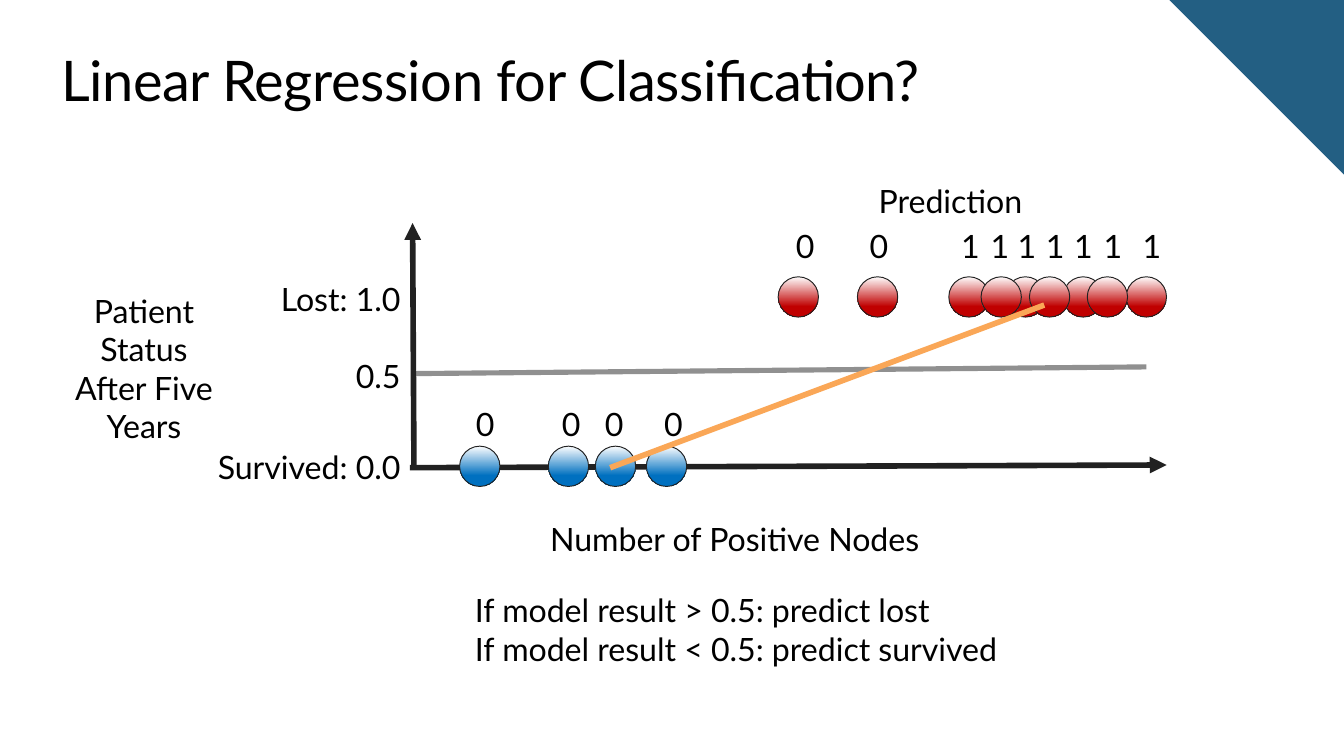
from lxml import etree
from pptx import Presentation
from pptx.dml.color import RGBColor
from pptx.enum.shapes import MSO_CONNECTOR, MSO_SHAPE
from pptx.enum.text import MSO_ANCHOR, MSO_AUTO_SIZE, PP_ALIGN
from pptx.oxml.ns import qn
from pptx.util import Inches, Pt

LEFT, MID, RIGHT = PP_ALIGN.LEFT, PP_ALIGN.CENTER, PP_ALIGN.RIGHT
TOP, CENTER = MSO_ANCHOR.TOP, MSO_ANCHOR.MIDDLE
FIXED = MSO_AUTO_SIZE.NONE
OVAL, CORNER = MSO_SHAPE.OVAL, MSO_SHAPE.RIGHT_TRIANGLE
STRAIGHT = MSO_CONNECTOR.STRAIGHT
FONT = "Lato"
COLORS = {
    "white": "FFFFFF", "text": "000000", "corner": "235F83",
    "axis": "212121", "limit": "909090", "fit": "FAA757",
    "blue": "0070C0", "red": "C00000",
}
LOW_DOTS = [0.37, 1.03, 1.38, 1.76]
HIGH_DOTS = [2.74, 3.33, 4.01, 4.43, 4.86, 5.33, 4.61, 4.25, 5.04]
LOW_MARKS = [(0.4, "0"), (1.04, "0"), (1.36, "0"), (1.8, "0")]
HIGH_MARKS = [
    (2.78, "0"), (3.33, "0"), (4.01, "1"), (4.23, "1"), (4.43, "1"),
    (4.64, "1"), (4.85, "1"), (5.07, "1"), (5.36, "1"),
]
TICKS = [(0.73, "Lost: 1.0"), (1.3, "0.5"), (1.98, "Survived: 0.0")]


def color(name):
    """Return the named colour."""
    return RGBColor.from_string(COLORS[name])


def style(shape, text, align, size=17.2, anchor=CENTER):
    """Set and format the text of a shape."""
    frame = shape.text_frame
    frame.text = text
    frame.word_wrap = True
    frame.auto_size = FIXED
    frame.vertical_anchor = anchor
    frame.margin_left = frame.margin_right = 0
    frame.margin_top = frame.margin_bottom = 0
    for para in frame.paragraphs:
        para.alignment = align
        para._p.get_or_add_pPr().set("marL", str(Pt(1)))
        for run in para.runs:
            run.font.name = FONT
            run.font.size = Pt(size)
            run.font.color.rgb = color("text")


def label(slide, text, x, y, w, h=0.29, align=LEFT):
    """Add a text box."""
    box = slide.shapes.add_textbox(Inches(x), Inches(y), Inches(w), Inches(h))
    style(box, text, align)


def line(slide, start, end, name, width=3, arrow=False):
    """Add a straight line, with an arrowhead if asked."""
    link = slide.shapes.add_connector(
        STRAIGHT, *[Inches(n) for n in (*start, *end)])
    link.line.color.rgb = color(name)
    link.line.width = Pt(width)
    if arrow:
        stroke = link.line._get_or_add_ln()
        etree.SubElement(stroke, qn("a:tailEnd"), type="triangle")
    etree.SubElement(link._element.spPr, qn("a:effectLst"))


def dot(slide, x, y, name, stop):
    """Add a data point that fades from white to its colour."""
    ball = slide.shapes.add_shape(
        OVAL, Inches(x), Inches(y), Inches(0.3), Inches(0.3))
    ball.shadow.inherit = False
    ball.fill.gradient()
    ball.fill.gradient_angle = 270
    first, last = ball.fill.gradient_stops
    first.color.rgb, first.position = color("white"), 0
    last.color.rgb, last.position = color(name), stop
    ball.line.color.rgb = color("axis")
    ball.line.width = Pt(0.5)


def corner(slide, x, y, side):
    """Add the triangle in the top right corner."""
    shape = slide.shapes.add_shape(
        CORNER, Inches(x), Inches(y), Inches(side), Inches(side))
    shape.rotation = 180
    shape.shadow.inherit = False
    shape.fill.solid()
    shape.fill.fore_color.rgb = color("corner")
    shape.line.fill.background()


def header(slide, x, y, w, h):
    """Place the title."""
    title = slide.shapes.title
    title.left, title.top = Inches(x), Inches(y)
    title.width, title.height = Inches(w), Inches(h)
    style(title, "Linear Regression for Classification?", LEFT, 30, TOP)
    for run in title.text_frame.paragraphs[0].runs:
        run._r.get_or_add_rPr().set("spc", "-25")


def plot(slide, x, y):
    """Draw the axes, points, fitted line and labels."""
    line(slide, (x + 0.02, y + 1.43), (x + 5.48, y + 1.38), "limit", 2.75)
    line(slide, (x, y + 2.13), (x + 5.63, y + 2.11), "axis", arrow=True)
    line(slide, (x + 0.03, y + 2.11), (x + 0.02, y + 0.31), "axis", arrow=True)
    for dx in LOW_DOTS:
        dot(slide, x + dx, y + 1.97, "blue", 0.73)
    for dx in HIGH_DOTS:
        dot(slide, x + dx, y + 0.71, "red", 0.74)
    line(slide, (x + 1.49, y + 2.13), (x + 4.72, y + 0.92), "fit")
    for dy, marks in ((1.66, LOW_MARKS), (0.33, HIGH_MARKS)):
        for dx, text in marks:
            label(slide, text, x + dx, y + dy, 0.23, align=RIGHT)
    for dy, text in TICKS:
        label(slide, text, x - 1.59, y + dy, 1.52, align=RIGHT)
    label(slide, "Patient\nStatus\nAfter Five Years",
          x - 2.65, y + 0.81, 1.33, 1.16, MID)
    label(slide, "Prediction", x + 3.36, y, 1.31, align=MID)
    label(slide, "Number of Positive Nodes", x + 1.03, y + 2.51, 3.28)


def main():
    """Build and save the slide."""
    deck = Presentation()
    deck.slide_width = Inches(10)
    deck.slide_height = deck.slide_width * 9 // 16
    slide = deck.slides.add_slide(deck.slide_layouts[5])
    corner(slide, 8.7, 0, 1.3)
    header(slide, 0.44, 0.34, 9.23, 0.5)
    plot(slide, 3.05, 1.35)
    label(slide, "If model result > 0.5: predict lost\n"
          "If model result < 0.5: predict survived", 3.52, 4.39, 4.25, 0.58)
    deck.save("out.pptx")


if __name__ == "__main__":
    main()
